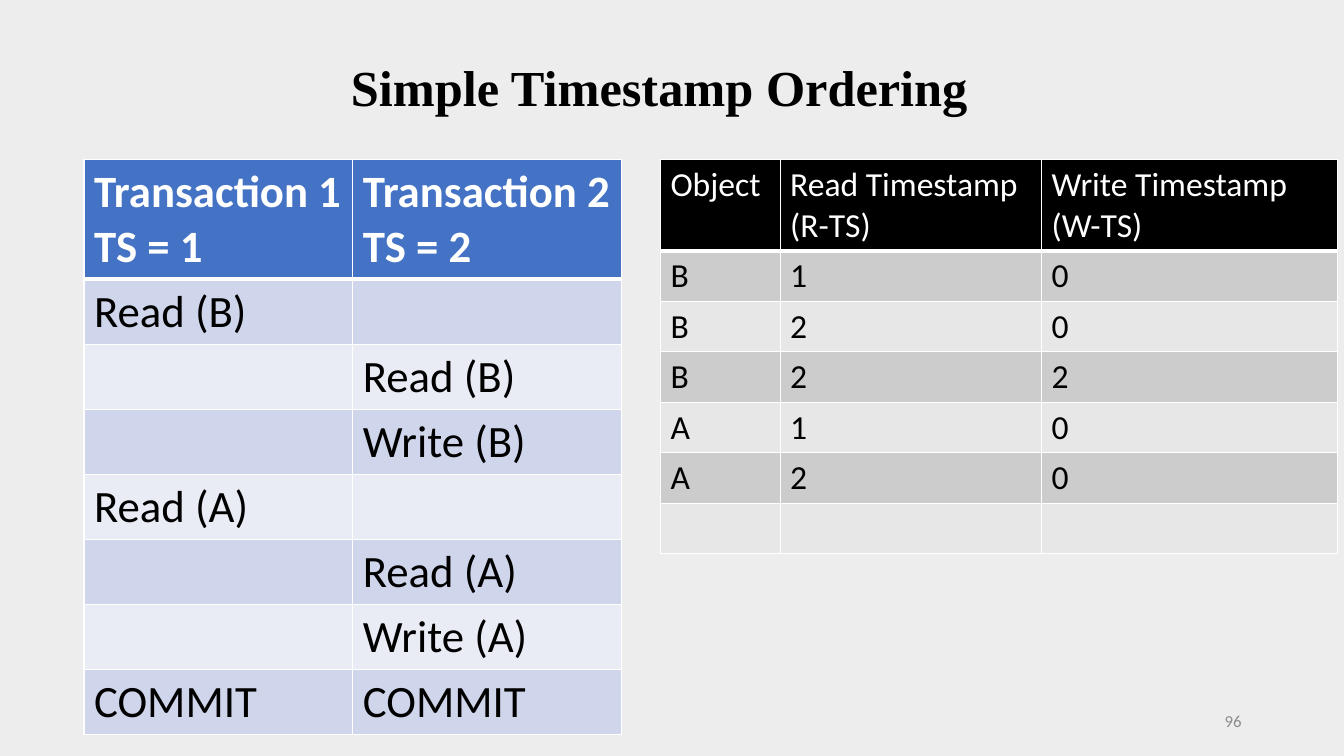
from dataclasses import dataclass

from lxml.etree import SubElement
from pptx import Presentation
from pptx.dml.color import RGBColor
from pptx.enum.text import MSO_ANCHOR as Anchor, MSO_AUTO_SIZE as AutoSize, PP_ALIGN as Align
from pptx.oxml.ns import qn
from pptx.util import Emu, Pt

EMU_PER_PX = 9525


@dataclass(frozen=True)
class Theme:
    background: str = "EDEDED"
    ink: str = "000000"
    border: str = "FFFFFF"
    page_number: str = "8C8C8C"
    title_font: str = "Times New Roman"
    body_font: str = "Calibri"
    title_size: int = 36
    page_number_size: int = 12


@dataclass(frozen=True)
class TableLook:
    header_fill: str
    bands: tuple
    size: int
    header_bold: bool
    header_height: int
    row_height: int


THEME = Theme()
SCHEDULE_LOOK = TableLook("4472C4", ("CFD5EA", "E9EBF5"), 32, True, 114, 62)
TIMESTAMP_LOOK = TableLook("000000", ("CCCCCC", "E7E7E7"), 24, False, 87, 48)

SCHEDULE = [
    ("Transaction 1\nTS = 1", "Transaction 2\nTS = 2"),
    ("Read (B)", ""),
    ("", "Read (B)"),
    ("", "Write (B)"),
    ("Read (A)", ""),
    ("", "Read (A)"),
    ("", "Write (A)"),
    ("COMMIT", "COMMIT"),
]
TIMESTAMPS = [
    ("Object", "Read Timestamp (R-TS)", "Write Timestamp (W-TS)"),
    ("B", "1", "0"),
    ("B", "2", "0"),
    ("B", "2", "2"),
    ("A", "1", "0"),
    ("A", "2", "0"),
    ("", "", ""),
]


def px(length):
    return Emu(length * EMU_PER_PX)


def rgb(code):
    return RGBColor.from_string(code)


def add_run(paragraph, text, font, size, color, bold=False):
    run = paragraph.add_run()
    run.text = text
    run.font.name = font
    run.font.size = Pt(size)
    run.font.bold = bold
    run.font.color.rgb = rgb(color)


def set_borders(cell, bottom_width):
    properties = cell._tc.get_or_add_tcPr()
    for side, width in (("L", 1), ("R", 1), ("T", 1), ("B", bottom_width)):
        line = SubElement(properties, qn(f"a:ln{side}"), w=str(Pt(width)))
        fill = SubElement(line, qn("a:solidFill"))
        SubElement(fill, qn("a:srgbClr"), val=THEME.border)


def fill_cell(cell, text, look, row_index):
    is_header = row_index == 0
    set_borders(cell, 3 if is_header else 1)
    cell.fill.solid()
    cell.fill.fore_color.rgb = rgb(
        look.header_fill if is_header else look.bands[(row_index - 1) % 2])
    color = THEME.border if is_header else THEME.ink
    frame = cell.text_frame
    for index, line in enumerate(text.split("\n")):
        paragraph = frame.add_paragraph() if index else frame.paragraphs[0]
        if line:
            add_run(paragraph, line, THEME.body_font, look.size, color,
                    is_header and look.header_bold)
        else:
            paragraph.font.size = Pt(look.size)


def add_banded_table(slide, left, top, column_widths, rows, look):
    heights = [look.header_height] + [look.row_height] * (len(rows) - 1)
    table = slide.shapes.add_table(
        len(rows), len(column_widths), px(left), px(top),
        px(sum(column_widths)), px(sum(heights))).table
    for column, width in zip(table.columns, column_widths):
        column.width = px(width)
    for row_index, (row, height, texts) in enumerate(zip(table.rows, heights, rows)):
        row.height = px(height)
        for cell, text in zip(row.cells, texts):
            fill_cell(cell, text, look, row_index)


def set_title(slide, text, left, top, width, height):
    title = slide.shapes.title
    title.left, title.top, title.width, title.height = map(px, (left, top, width, height))
    frame = title.text_frame
    frame.word_wrap = False
    frame.auto_size = AutoSize.SHAPE_TO_FIT_TEXT
    frame.vertical_anchor = Anchor.TOP
    heading = frame.paragraphs[0]
    heading.alignment = Align.CENTER
    add_run(heading, text, THEME.title_font, THEME.title_size, THEME.ink, True)


def add_page_number(slide, number, left, top, width, height):
    frame = slide.shapes.add_textbox(*map(px, (left, top, width, height))).text_frame
    frame.word_wrap = True
    frame.vertical_anchor = Anchor.MIDDLE
    paragraph = frame.paragraphs[0]
    paragraph.alignment = Align.RIGHT
    add_run(paragraph, number, THEME.body_font, THEME.page_number_size, THEME.page_number)


def main():
    deck = Presentation()
    deck.slide_width, deck.slide_height = px(1280), px(720)
    slide = deck.slides.add_slide(deck.slide_layouts.get_by_name("Title Only"))
    slide.background.fill.solid()
    slide.background.fill.fore_color.rgb = rgb(THEME.background)

    set_title(slide, "Simple Timestamp Ordering", 323, 49, 610, 68)
    add_banded_table(slide, 80, 152, (256, 256), SCHEDULE, SCHEDULE_LOOK)
    add_banded_table(slide, 629, 152, (114, 249, 282), TIMESTAMPS, TIMESTAMP_LOOK)
    add_page_number(slide, "96", 904, 667, 288, 38)
    deck.save("out.pptx")


if __name__ == "__main__":
    main()
